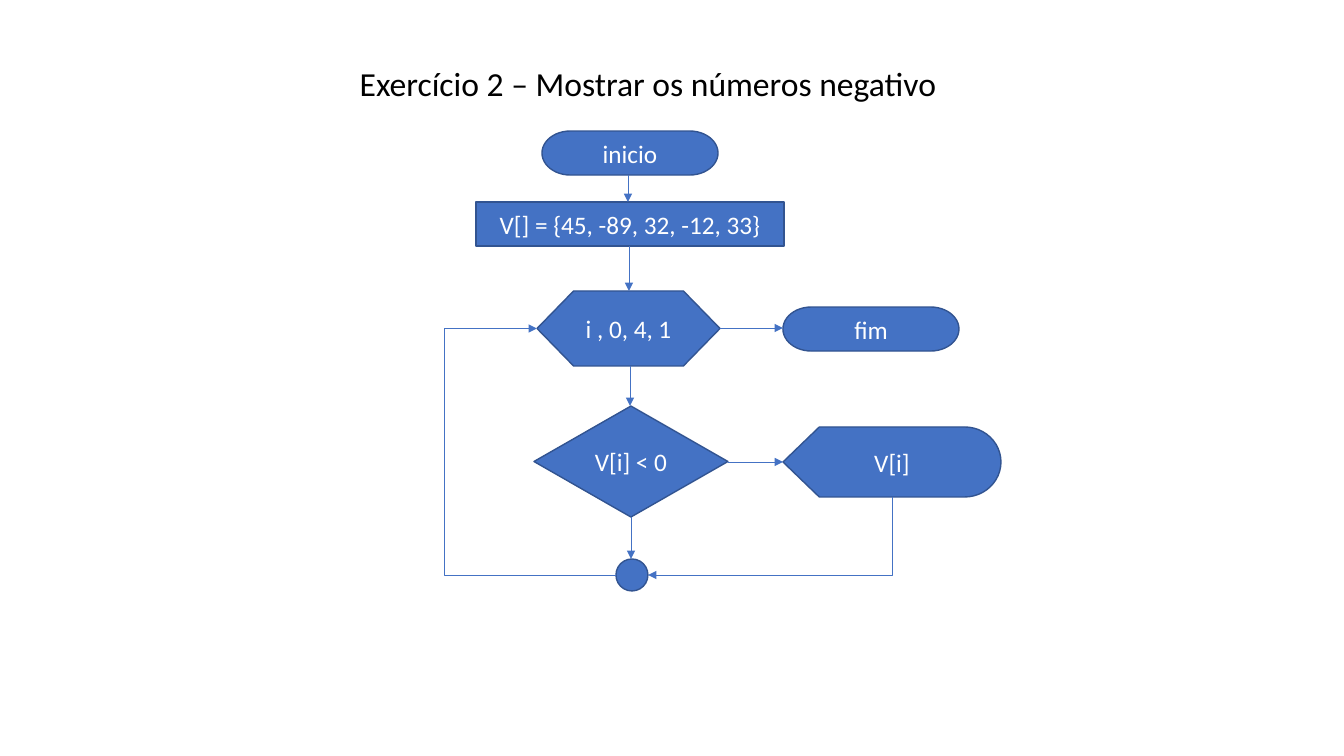
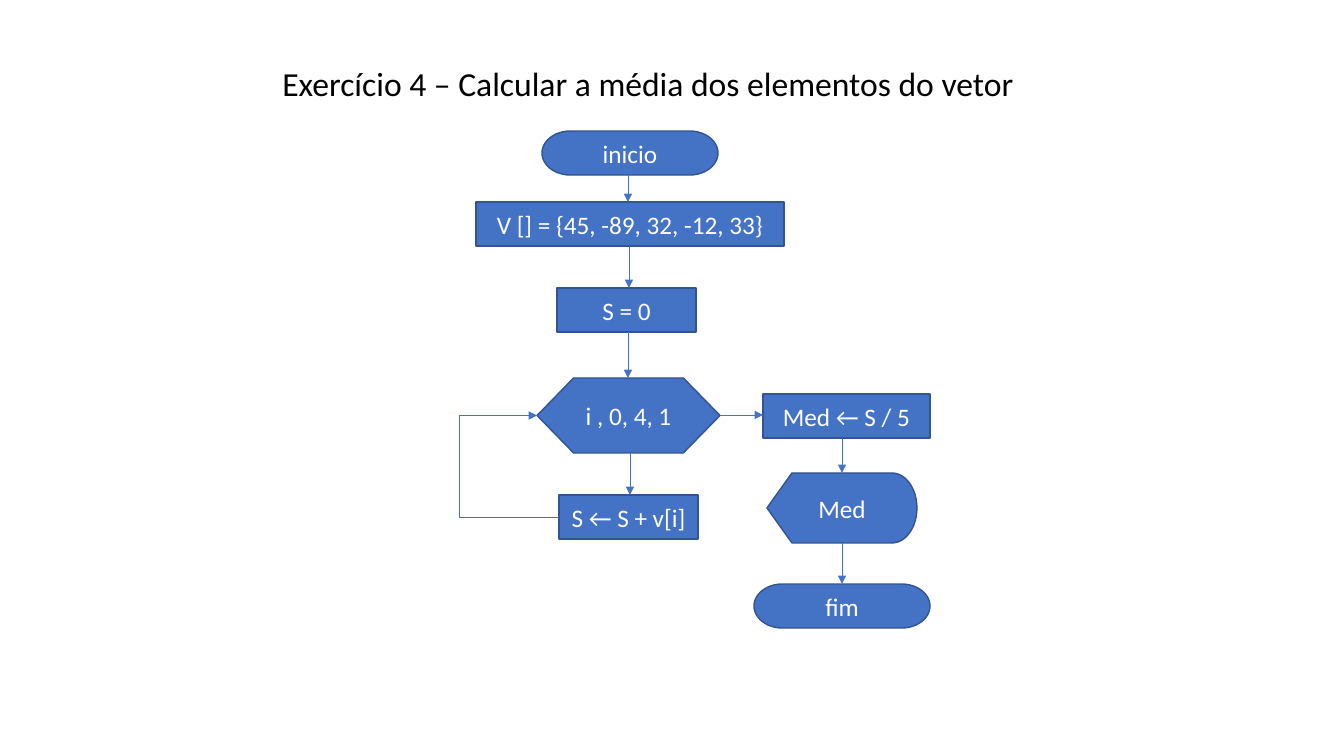
from dataclasses import dataclass
from enum import Enum

from lxml import etree
from pptx import Presentation
from pptx.dml.color import RGBColor
from pptx.enum.shapes import MSO_CONNECTOR, MSO_SHAPE
from pptx.enum.text import MSO_ANCHOR, PP_ALIGN
from pptx.oxml.ns import qn
from pptx.shapes.autoshape import Shape
from pptx.shapes.connector import Connector
from pptx.slide import Slide
from pptx.text.text import _Paragraph as Paragraph
from pptx.util import Pt

TERMINATOR = MSO_SHAPE.FLOWCHART_TERMINATOR
PROCESS = MSO_SHAPE.FLOWCHART_PROCESS
PREPARATION = MSO_SHAPE.FLOWCHART_PREPARATION
DECISION = MSO_SHAPE.FLOWCHART_DECISION
DISPLAY = MSO_SHAPE.FLOWCHART_DISPLAY
JUNCTION = MSO_SHAPE.OVAL
STRAIGHT = MSO_CONNECTOR.STRAIGHT
ELBOW = MSO_CONNECTOR.ELBOW
CENTER = PP_ALIGN.CENTER
MIDDLE = MSO_ANCHOR.MIDDLE

EMU_PER_PIXEL = 914400 / 100.8
SLIDE_WIDTH, SLIDE_HEIGHT = 1344, 756
BLANK_LAYOUT = 6
ROTATION_UNIT = 60000
ADJUST_UNIT = 100000


@dataclass(frozen=True)
class Theme:
    """Colours, font and sizes shared by the slides."""
    font: str = "Calibri"
    title_color: RGBColor = RGBColor(0x00, 0x00, 0x00)
    node_text: RGBColor = RGBColor(0xFF, 0xFF, 0xFF)
    node_fill: RGBColor = RGBColor(0x44, 0x72, 0xC4)
    node_line: RGBColor = RGBColor(0x32, 0x54, 0x91)
    title_size: float = 24
    node_size: float = 18
    node_line_width: float = 1
    arrow_width: float = 0.5


THEME = Theme()


class Route(Enum):
    """How an arrow travels; its lane is an x, or a y for RIGHT."""
    DOWN = "down"
    RIGHT = "right"
    DOWN_LEFT = "down, then left"
    LOOP = "out to the left and back up"


@dataclass(frozen=True)
class Node:
    """One flowchart symbol, in pixels."""
    kind: MSO_SHAPE
    left: int
    top: int
    width: int
    height: int
    text: str = ""

    @property
    def right(self) -> int:
        """Right edge."""
        return self.left + self.width

    @property
    def bottom(self) -> int:
        """Bottom edge."""
        return self.top + self.height

    @property
    def middle(self) -> float:
        """Vertical centre."""
        return self.top + self.height / 2


@dataclass(frozen=True)
class Arrow:
    """A directed link between two named nodes."""
    source: str
    target: str
    route: Route
    lane: int


@dataclass(frozen=True)
class Flowchart:
    """The content of one slide."""
    title: str
    nodes: dict[str, Node]
    arrows: list[Arrow]


def emu(pixels: float) -> int:
    """Turn pixels into EMU."""
    return round(pixels * EMU_PER_PIXEL)


def style_paragraph(paragraph: Paragraph, size: float, color: RGBColor) -> None:
    """Centre a paragraph and set its font."""
    paragraph.alignment = CENTER
    paragraph.font.name = THEME.font
    paragraph.font.size = Pt(size)
    paragraph.font.color.rgb = color


def add_title(slide: Slide, text: str) -> None:
    """Add the slide heading."""
    box = slide.shapes.add_textbox(emu(144), emu(66), emu(1008), emu(43))
    box.text_frame.word_wrap = True
    paragraph = box.text_frame.paragraphs[0]
    paragraph.text = text
    paragraph.line_spacing = 0.8
    paragraph.space_before = Pt(10)
    style_paragraph(paragraph, THEME.title_size, THEME.title_color)


def add_node(slide: Slide, node: Node) -> Shape:
    """Draw one flowchart symbol."""
    shape = slide.shapes.add_shape(
        node.kind, emu(node.left), emu(node.top), emu(node.width), emu(node.height))
    shape.shadow.inherit = False
    shape.fill.solid()
    shape.fill.fore_color.rgb = THEME.node_fill
    shape.line.color.rgb = THEME.node_line
    shape.line.width = Pt(THEME.node_line_width)
    if node.text:
        shape.text_frame.vertical_anchor = MIDDLE
        paragraph = shape.text_frame.paragraphs[0]
        paragraph.text = node.text
        style_paragraph(paragraph, THEME.node_size, THEME.node_text)
    return shape


def add_line(slide: Slide, kind: MSO_CONNECTOR, start: tuple[float, float],
             end: tuple[float, float]) -> Connector:
    """Draw a connector with an arrowhead at its end."""
    connector = slide.shapes.add_connector(
        kind, *(emu(value) for value in (*start, *end)))
    connector.line.color.rgb = THEME.node_fill
    connector.line.width = Pt(THEME.arrow_width)
    properties = connector._element.spPr
    etree.SubElement(properties.find(qn("a:ln")), qn("a:tailEnd"), type="triangle")
    etree.SubElement(properties, qn("a:effectLst"))
    return connector


def rotate(connector: Connector, degrees: int) -> None:
    """Turn a connector clockwise about its centre."""
    connector._element.spPr.find(qn("a:xfrm")).set("rot", str(degrees * ROTATION_UNIT))


def add_corner(slide: Slide, start: tuple[float, float],
               end: tuple[float, float]) -> None:
    """Draw an arrow that goes down, then left, as a quarter-turned corner."""
    center_x, center_y = (start[0] + end[0]) / 2, (start[1] + end[1]) / 2
    half_drop, half_run = (end[1] - start[1]) / 2, (start[0] - end[0]) / 2
    connector = add_line(slide, ELBOW,
                         (center_x - half_drop, center_y - half_run),
                         (center_x + half_drop, center_y + half_run))
    connector._element.spPr.find(qn("a:prstGeom")).set("prst", "bentConnector2")
    rotate(connector, 90)


def add_loop(slide: Slide, start: tuple[float, float],
             end: tuple[float, float], lane: int) -> None:
    """Draw an arrow that returns upwards along a lane on the left."""
    connector = add_line(slide, ELBOW, end, start)
    rotate(connector, 180)
    adjust = round((start[0] - lane) / (start[0] - end[0]) * ADJUST_UNIT)
    geometry = connector._element.spPr.find(qn("a:prstGeom"))
    guides = geometry.find(qn("a:avLst"))
    if guides is None:
        guides = etree.SubElement(geometry, qn("a:avLst"))
    etree.SubElement(guides, qn("a:gd"), name="adj1", fmla=f"val {adjust}")


def add_arrow(slide: Slide, arrow: Arrow, nodes: dict[str, Node]) -> None:
    """Draw an arrow between the facing sides of its nodes."""
    source, target, lane = nodes[arrow.source], nodes[arrow.target], arrow.lane
    if arrow.route is Route.DOWN:
        add_line(slide, STRAIGHT, (lane, source.bottom), (lane, target.top))
    elif arrow.route is Route.RIGHT:
        add_line(slide, STRAIGHT, (source.right, lane), (target.left, lane))
    elif arrow.route is Route.DOWN_LEFT:
        add_corner(slide, (lane, source.bottom), (target.right, target.middle))
    else:
        add_loop(slide, (source.left, source.middle),
                 (target.left, target.middle), lane)


def terminator(left: int, top: int, text: str) -> Node:
    """Describe a start or end symbol."""
    return Node(TERMINATOR, left, top, 176, 44, text)


def process(left: int, top: int, width: int, text: str) -> Node:
    """Describe a process box."""
    return Node(PROCESS, left, top, width, 44, text)


def counter(top: int) -> Node:
    """Describe the loop counter symbol."""
    return Node(PREPARATION, 537, top, 183, 75, "i , 0, 4, 1")


def display(left: int, top: int, width: int, text: str) -> Node:
    """Describe an output symbol."""
    return Node(DISPLAY, left, top, width, 70, text)


START = terminator(542, 131, "inicio")

FLOWCHARTS = [
    Flowchart(
        "Exercício 2 – Mostrar os números negativo",
        {
            "start": START,
            "vector": process(476, 202, 308, "V[] = {45, -89, 32, -12, 33}"),
            "counter": counter(291),
            "end": terminator(783, 307, "fim"),
            "test": Node(DECISION, 534, 406, 194, 111, "V[i] < 0"),
            "output": display(783, 427, 218, "V[i]"),
            "junction": Node(JUNCTION, 616, 559, 32, 32),
        },
        [
            Arrow("start", "vector", Route.DOWN, 628),
            Arrow("vector", "counter", Route.DOWN, 629),
            Arrow("counter", "end", Route.RIGHT, 328),
            Arrow("counter", "test", Route.DOWN, 630),
            Arrow("test", "output", Route.RIGHT, 462),
            Arrow("test", "junction", Route.DOWN, 631),
            Arrow("output", "junction", Route.DOWN_LEFT, 892),
            Arrow("junction", "counter", Route.LOOP, 444),
        ],
    ),
    Flowchart(
        "Exercício 4 – Calcular a média dos elementos do vetor",
        {
            "start": START,
            "vector": process(476, 202, 308, "V [] = {45, -89, 32, -12, 33}"),
            "sum": process(557, 288, 139, "S = 0"),
            "counter": counter(378),
            "accumulate": process(559, 495, 139, "S ← S + v[i]"),
            "average": process(763, 394, 167, "Med ← S / 5"),
            "output": display(767, 473, 150, "Med"),
            "end": terminator(754, 584, "fim"),
        },
        [
            Arrow("start", "vector", Route.DOWN, 628),
            Arrow("vector", "sum", Route.DOWN, 629),
            Arrow("sum", "counter", Route.DOWN, 628),
            Arrow("counter", "accumulate", Route.DOWN, 630),
            Arrow("accumulate", "counter", Route.LOOP, 459),
            Arrow("counter", "average", Route.RIGHT, 415),
            Arrow("average", "output", Route.DOWN, 842),
            Arrow("output", "end", Route.DOWN, 842),
        ],
    ),
]


def build() -> None:
    """Build and save the presentation."""
    presentation = Presentation()
    presentation.slide_width = emu(SLIDE_WIDTH)
    presentation.slide_height = emu(SLIDE_HEIGHT)
    for flowchart in FLOWCHARTS:
        slide = presentation.slides.add_slide(presentation.slide_layouts[BLANK_LAYOUT])
        add_title(slide, flowchart.title)
        for node in flowchart.nodes.values():
            add_node(slide, node)
        for arrow in flowchart.arrows:
            add_arrow(slide, arrow, flowchart.nodes)
    presentation.save("out.pptx")


build()
